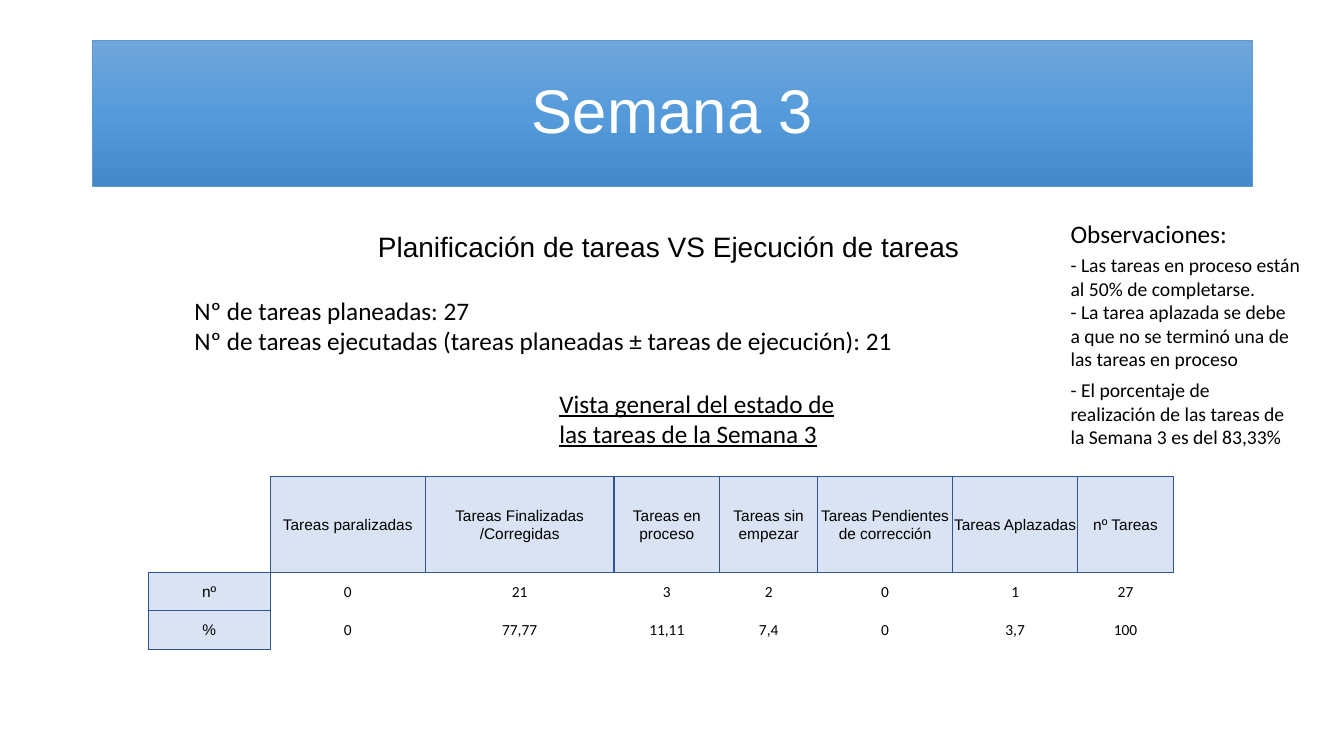
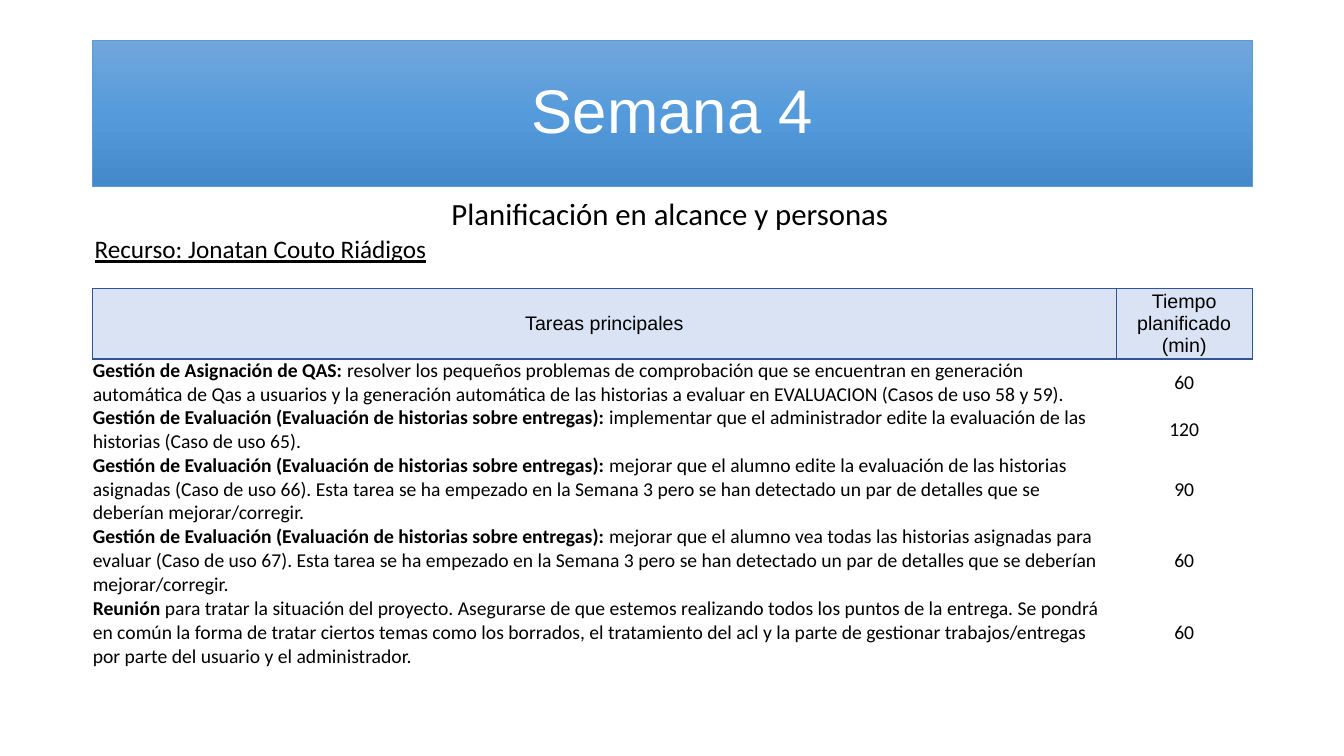
import copy
import pptx
import pptx.util
import pptx.oxml
import pptx.oxml.ns
from pptx.dml.color import RGBColor
from pptx.enum.shapes import MSO_SHAPE
from pptx.enum.text import MSO_ANCHOR, MSO_AUTO_SIZE, PP_ALIGN

PX = 9144  # 100 px to the inch
BLACK = RGBColor(0x00, 0x00, 0x00)
WHITE = RGBColor(0xFF, 0xFF, 0xFF)
BAND_LINE = RGBColor(0x5B, 0x9B, 0xD5)
BAND_STOPS = [(0, RGBColor(0x71, 0xA6, 0xDB)),
              (0.5, RGBColor(0x55, 0x9B, 0xDB)),
              (1, RGBColor(0x44, 0x8A, 0xCA))]
HEAD_FILL = RGBColor(0xDA, 0xE3, 0xF3)
HEAD_LINE = RGBColor(0x2F, 0x55, 0x97)
HEAD_FONT, BODY_FONT = "Arial", "Calibri"
PLAIN_TABLE = "{2D5ABB26-0587-4C30-8999-92F81FD0307C}"

# Content: texts are (left, top, width, height, size, font, underline, paragraphs)
WEEK3_TEXTS = [
    (365, 223, 604, 44, 20, HEAD_FONT, False,
     ["Planificación de tareas VS Ejecución de tareas"]),
    (183, 288, 747, 71, 18, BODY_FONT, False,
     ["Nº de tareas planeadas: 27",
      "Nº de tareas ejecutadas (tareas planeadas ± tareas de ejecución): 21"]),
    (545, 380, 305, 71, 18, BODY_FONT, True,
     ["Vista general del estado de las tareas de la Semana 3"]),
    (1052, 212, 247, 40, 18, BODY_FONT, False, ["Observaciones:"]),
    (1052, 246, 253, 57, 14, BODY_FONT, False,
     ["- Las tareas en proceso están al 50% de completarse."]),
    (1052, 293, 247, 81, 14, BODY_FONT, False,
     ["- La tarea aplazada se debe a que no se terminó una de las tareas en proceso"]),
    (1052, 370, 246, 81, 14, BODY_FONT, False,
     ["- El porcentaje de realización de las tareas de la Semana 3 es del 83,33%"]),
]
STATUS_COLS = [121, 154, 187, 105, 97, 134, 124, 95]
STATUS_ROWS = [95, 38, 38]
STATUS = [
    ["", "Tareas paralizadas", "Tareas Finalizadas /Corregidas", "Tareas en proceso",
     "Tareas sin empezar", "Tareas Pendientes de corrección", "Tareas Aplazadas",
     "nº Tareas"],
    ["nº", "0", "21", "3", "2", "0", "1", "27"],
    ["%", "0", "77,77", "11,11", "7,4", "0", "3,7", "100"],
]

WEEK4_TEXTS = [
    (438, 188, 457, 47, 22, BODY_FONT, False, ["Planificación en alcance y personas"]),
    (84, 227, 367, 40, 18, BODY_FONT, True, ["Recurso: Jonatan Couto Riádigos"]),
]
EVALUATION = "Gestión de Evaluación (Evaluación de historias sobre entregas): "
PLAN_COLS = [1015, 135]
PLAN_ROWS = [70, 47, 47, 71, 71, 71]
PLAN_HEAD = ["Tareas principales", "Tiempo planificado (min)"]
PLAN = [  # (bold lead, description, minutes)
    ("Gestión de Asignación de QAS: ",
     "resolver los pequeños problemas de comprobación que se encuentran en generación "
     "automática de Qas a usuarios y la generación automática de las historias a evaluar "
     "en EVALUACION (Casos de uso 58 y 59).", "60"),
    (EVALUATION,
     "implementar que el administrador edite la evaluación de las historias "
     "(Caso de uso 65).", "120"),
    (EVALUATION,
     "mejorar que el alumno edite la evaluación de las historias asignadas (Caso de uso "
     "66). Esta tarea se ha empezado en la Semana 3 pero se han detectado un par de "
     "detalles que se deberían mejorar/corregir.", "90"),
    (EVALUATION,
     "mejorar que el alumno vea todas las historias asignadas para evaluar (Caso de uso "
     "67). Esta tarea se ha empezado en la Semana 3 pero se han detectado un par de "
     "detalles que se deberían mejorar/corregir.", "60"),
    ("Reunión",
     " para tratar la situación del proyecto. Asegurarse de que estemos realizando todos "
     "los puntos de la entrega. Se pondrá en común la forma de tratar ciertos temas como "
     "los borrados, el tratamiento del acl y la parte de gestionar trabajos/entregas por "
     "parte del usuario y el administrador.", "60"),
]


# Shared parts
def box(*lengths):
    return [n * PX for n in lengths]


def add_run(p, text, size, font, color=BLACK, bold=False, underline=False):
    r = p.add_run()
    r.text = text
    r.font.size = pptx.util.Pt(size)
    r.font.name = font
    r.font.color.rgb = color
    r.font.bold = bold
    r.font.underline = underline


def add_title_band(s, title):
    sp = s.shapes.add_shape(MSO_SHAPE.RECTANGLE, *box(92, 40, 1150, 145))
    sp.shadow.inherit = False
    sp.fill.gradient()
    sp.fill.gradient_angle = 270
    stops = sp._element.spPr.find(".//" + pptx.oxml.ns.qn("a:gsLst"))
    stops.insert(1, copy.deepcopy(stops[0]))
    for stop, (position, color) in zip(sp.fill.gradient_stops, BAND_STOPS):
        stop.position = position
        stop.color.rgb = color
    sp.line.color.rgb = BAND_LINE
    sp.line.width = pptx.util.Pt(0.5)
    tf = sp.text_frame
    tf.vertical_anchor = MSO_ANCHOR.MIDDLE
    p = tf.paragraphs[0]
    p.alignment = PP_ALIGN.CENTER
    p.line_spacing = 0.9
    add_run(p, title, 44, HEAD_FONT, WHITE)


def add_text(s, left, top, width, height, size, font, underline, paragraphs):
    tf = s.shapes.add_textbox(*box(left, top, width, height)).text_frame
    tf.word_wrap = True
    tf.auto_size = MSO_AUTO_SIZE.SHAPE_TO_FIT_TEXT
    for i, text in enumerate(paragraphs):
        p = tf.add_paragraph() if i else tf.paragraphs[0]
        add_run(p, text, size, font, underline=underline)


def add_plain_table(s, left, top, cols, rows):
    frame = s.shapes.add_table(len(rows), len(cols),
                               *box(left, top, sum(cols), sum(rows)))
    table = frame.table
    table.first_row = table.horz_banding = False
    style = table._tbl.tblPr.find(pptx.oxml.ns.qn("a:tableStyleId"))
    style.text = PLAIN_TABLE
    for col, width in zip(table.columns, cols):
        col.width = width * PX
    for row, height in zip(table.rows, rows):
        row.height = height * PX
    return table


def fill_cell(cell, runs, size, head=False, align=PP_ALIGN.CENTER, inset=0):
    """Runs are (text, bold); head cells are tinted and framed."""
    cell.vertical_anchor = MSO_ANCHOR.MIDDLE
    cell.margin_left = cell.margin_right = cell.margin_top = inset * PX
    cell.margin_bottom = 0
    p = cell.text_frame.paragraphs[0]
    p.alignment = align
    for text, bold in runs:
        add_run(p, text, size, HEAD_FONT if head else BODY_FONT, bold=bold)
    if not head:
        cell.fill.background()
        return
    cell.fill.solid()
    cell.fill.fore_color.rgb = HEAD_FILL
    for i, side in enumerate("LRTB"):
        cell._tc.tcPr.insert(i, pptx.oxml.parse_xml(
            f'<a:ln{side} {pptx.oxml.ns.nsdecls("a")} w="12700"><a:solidFill>'
            f'<a:srgbClr val="{HEAD_LINE}"/></a:solidFill></a:ln{side}>'))


def add_slide(prs, title, texts):
    s = prs.slides.add_slide(prs.slide_layouts[6])
    add_title_band(s, title)
    for text in texts:
        add_text(s, *text)
    return s


def main():
    prs = pptx.Presentation()
    prs.slide_width, prs.slide_height = pptx.util.Inches(13.33), pptx.util.Inches(7.5)

    # Week 3: task status
    s = add_slide(prs, "Semana 3", WEEK3_TEXTS)
    table = add_plain_table(s, 147, 473, STATUS_COLS, STATUS_ROWS)
    for i, row in enumerate(STATUS):
        for j, text in enumerate(row):
            if text:
                fill_cell(table.cell(i, j), [(text, False)], 11,
                          head=i == 0 or j == 0, inset=1)

    # Week 4: planned tasks
    s = add_slide(prs, "Semana 4", WEEK4_TEXTS)
    table = add_plain_table(s, 92, 286, PLAN_COLS, PLAN_ROWS)
    for j, text in enumerate(PLAN_HEAD):
        fill_cell(table.cell(0, j), [(text, False)], 14, head=True)
    for i, (lead, description, minutes) in enumerate(PLAN, 1):
        fill_cell(table.cell(i, 0), [(lead, True), (description, False)], 14,
                  align=PP_ALIGN.LEFT)
        fill_cell(table.cell(i, 1), [(minutes, False)], 14)

    prs.save("out.pptx")


if __name__ == "__main__":
    main()
